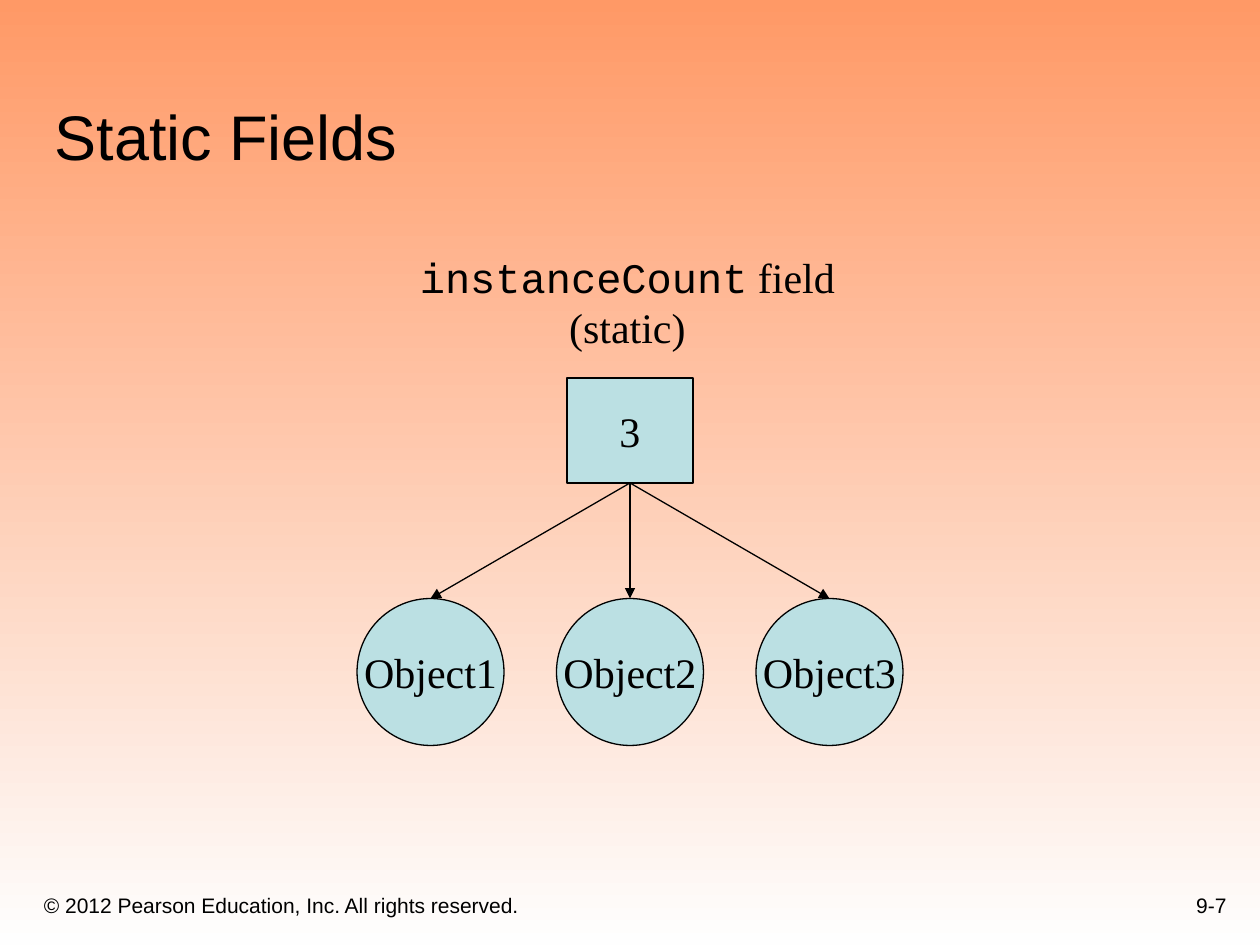
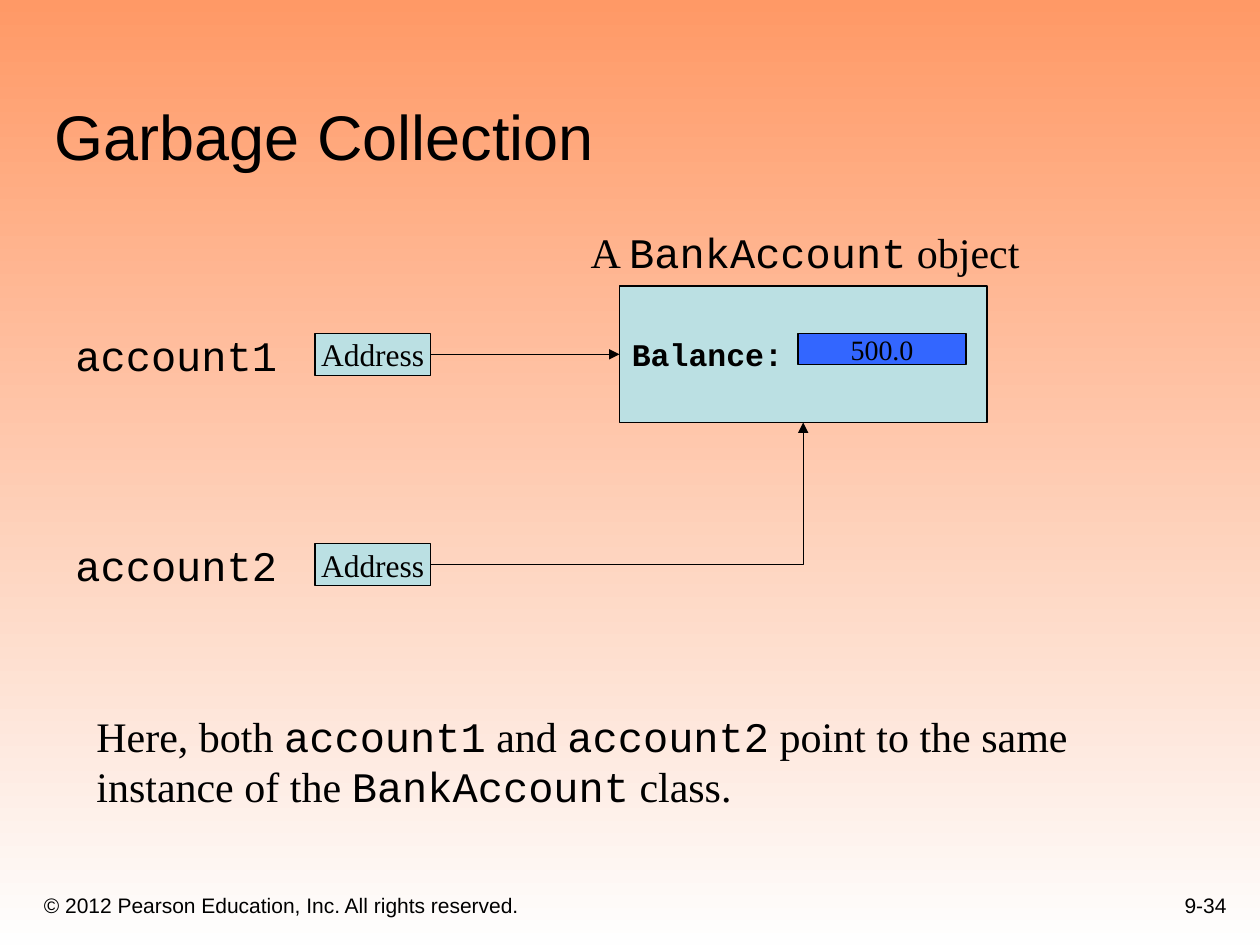
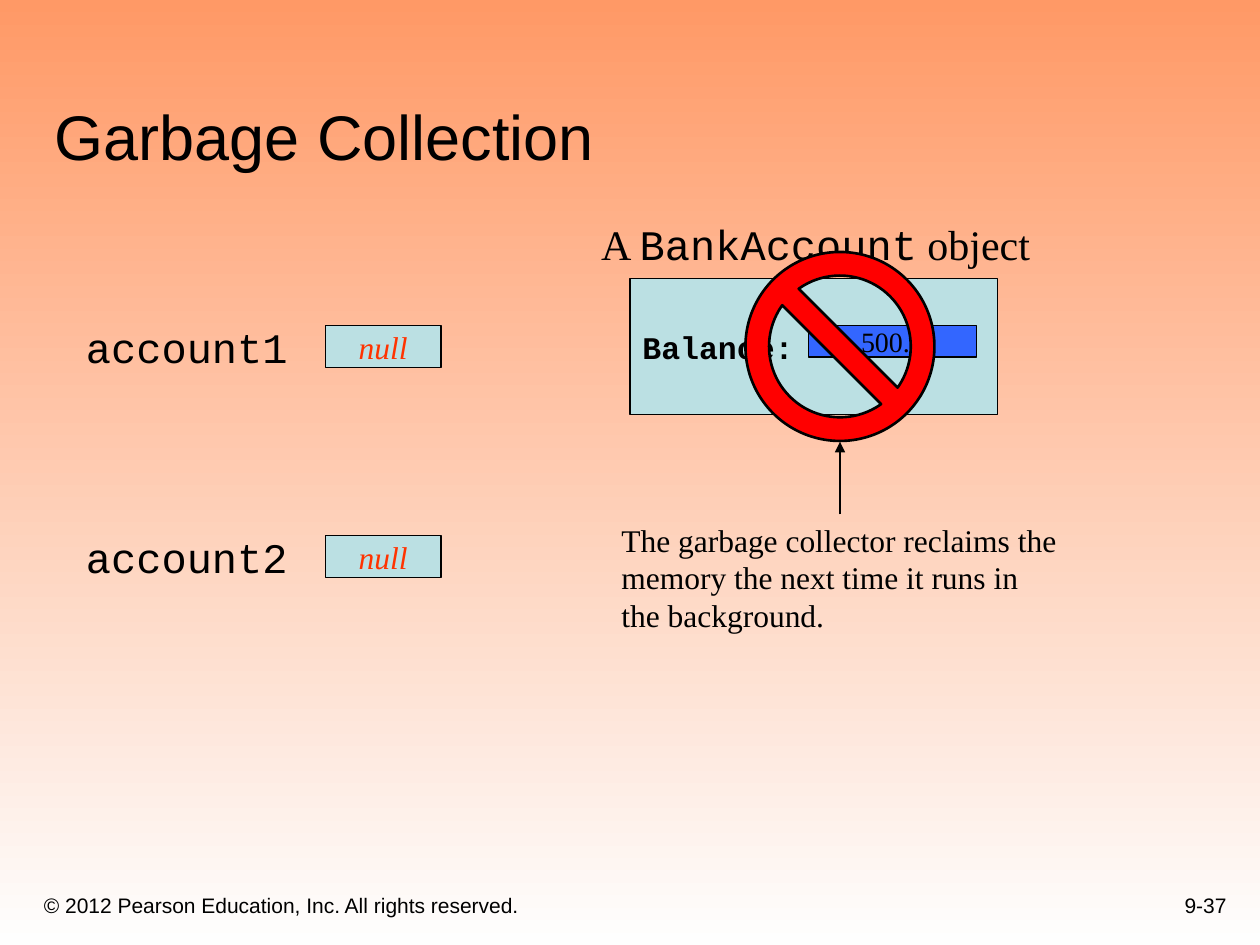
import pptx
import pptx.dml.color
import pptx.enum.shapes
import pptx.enum.text
import pptx.oxml.ns
import pptx.util
from lxml import etree

Pt = pptx.util.Pt
Align = pptx.enum.text.PP_ALIGN
Anchor = pptx.enum.text.MSO_ANCHOR
Preset = pptx.enum.shapes.MSO_SHAPE
Connector = pptx.enum.shapes.MSO_CONNECTOR
qn = pptx.oxml.ns.qn

SANS, SERIF, MONO = "Arial", "Times New Roman", "Courier New"
BLACK, PALE, BLUE, RED, NULL_RED = "000000", "BBE0E3", "3366FF", "FF0000", "FF3300"
GRADIENT = ("FF9966", "FEFEFE")
COPYRIGHT = "© 2012 Pearson Education, Inc. All rights reserved."
TOP, LEFT, BOTTOM, RIGHT = range(4)
ROW_GAP = 120


def color(value):
    return pptx.dml.color.RGBColor.from_string(value)


def write_text(frame, paragraphs, size, align=Align.LEFT, anchor=Anchor.TOP,
               wrap=True, ink=BLACK, bold=False, italic=False):
    frame.word_wrap = wrap
    frame.auto_size = pptx.enum.text.MSO_AUTO_SIZE.NONE
    frame.vertical_anchor = anchor
    for index, runs in enumerate(paragraphs):
        paragraph = frame.add_paragraph() if index else frame.paragraphs[0]
        paragraph.alignment = align
        for text, font_name in runs:
            run = paragraph.add_run()
            run.text = text
            run.font.name = font_name
            run.font.size = Pt(size)
            run.font.bold = bold
            run.font.italic = italic
            run.font.color.rgb = color(ink)


def add_text(slide, box, paragraphs, size, **style):
    shape = slide.shapes.add_textbox(*map(Pt, box))
    write_text(shape.text_frame, paragraphs, size, **style)


def add_preset(slide, preset, box, fill, line_width=0.75):
    shape = slide.shapes.add_shape(preset, *map(Pt, box))
    shape.shadow.inherit = False
    shape.fill.solid()
    shape.fill.fore_color.rgb = color(fill)
    shape.line.color.rgb = color(BLACK)
    shape.line.width = Pt(line_width)
    return shape


def add_labelled(slide, preset, box, fill, label, size, **style):
    shape = add_preset(slide, preset, box, fill)
    write_text(shape.text_frame, [[(label, SERIF)]], size, align=Align.CENTER,
               anchor=Anchor.MIDDLE, wrap=False, **style)
    return shape


def add_arrow(slide, start=(0, 0), end=(0, 0), kind=Connector.STRAIGHT):
    connector = slide.shapes.add_connector(kind, *map(Pt, start + end))
    connector.line.color.rgb = color(BLACK)
    connector.line.width = Pt(0.75)
    line = connector.line._get_or_add_ln()
    etree.SubElement(line, qn("a:tailEnd"), type="triangle")
    etree.SubElement(connector._element.spPr, qn("a:effectLst"))
    return connector


def link(slide, source, source_site, target, target_site, kind=Connector.STRAIGHT):
    connector = add_arrow(slide, kind=kind)
    connector.begin_connect(source, source_site)
    connector.end_connect(target, target_site)
    return connector


def paint_background(master):
    fill = master.background.fill
    fill.gradient()
    fill.gradient_angle = 270
    for stop, value in zip(fill.gradient_stops, GRADIENT):
        stop.color.rgb = color(value)


def add_slide(presentation, title_text, number):
    slide = presentation.slides.add_slide(presentation.slide_layouts[5])
    title = slide.shapes.title
    title.left, title.top, title.width, title.height = map(Pt, (24, 24, 678, 78.5))
    write_text(title.text_frame, [[(title_text, SANS)]], 36, anchor=Anchor.BOTTOM)
    add_text(slide, (18, 498, 438, 30), [[(COPYRIGHT, SANS)]], 12, anchor=Anchor.BOTTOM)
    add_text(slide, (558, 492, 150, 36), [[(number, SANS)]], 12,
             align=Align.RIGHT, anchor=Anchor.BOTTOM)
    return slide


def draw_static_field(slide, left, top, width):
    center = left + width / 2
    diameter = 84
    pitch = (width - diameter) / 2
    add_text(slide, (center - 127, top, 251, 65),
             [[("instanceCount", MONO), (" field", SERIF)], [("(static)", SERIF)]],
             24, align=Align.CENTER, wrap=False)
    field = add_labelled(slide, Preset.RECTANGLE, (center - 36, top + 76, 72, 60),
                         PALE, "3", 24)
    for index in range(3):
        circle = add_labelled(slide, Preset.OVAL,
                              (left + index * pitch, top + 202, diameter, diameter),
                              PALE, f"Object{index + 1}", 24)
        link(slide, field, BOTTOM, circle, TOP)


def draw_bank_account(slide, left, top):
    add_text(slide, (left, top, 260.5, 36),
             [[("A ", SERIF), ("BankAccount", MONO), (" object", SERIF)]], 24, wrap=False)
    account = add_preset(slide, Preset.RECTANGLE, (left + 23.5, top + 37.5, 210, 78), PALE)
    write_text(account.text_frame, [[("Balance:", MONO)]], 18,
               anchor=Anchor.MIDDLE, bold=True)
    add_labelled(slide, Preset.RECTANGLE, (left + 125.5, top + 64.5, 96, 18),
                 BLUE, "500.0", 16)
    return account


def draw_references(slide, left, top, value, **style):
    cells = []
    for index in range(2):
        row_top = top + index * ROW_GAP
        add_text(slide, (left, row_top, 132, 36), [[(f"account{index + 1}", MONO)]], 24)
        cells.append(add_labelled(slide, Preset.RECTANGLE,
                                  (left + 144, row_top + 6, 66, 24),
                                  PALE, value, 18, **style))
    return cells


def draw_collection(slide, left, top, value, **style):
    account = draw_bank_account(slide, left + 294.5, top)
    return account, draw_references(slide, left, top + 58.5, value, **style)


def draw_reclaim(slide, left, top):
    sign = add_preset(slide, Preset.NO_SYMBOL, (left + 78, top, 108, 108), RED, 1.5)
    sign.adjustments[0] = 0.125
    add_text(slide, (left, top + 150, 264, 72),
             [[("The garbage collector reclaims the memory the next time "
                "it runs in the background.", SERIF)]], 18)
    add_arrow(slide, (left + 132, top + 150), (left + 132, top + 108.5))


def build_static_fields(presentation):
    slide = add_slide(presentation, "Static Fields", "9-7")
    draw_static_field(slide, 204, 140, 312)


def build_shared_instance(presentation):
    slide = add_slide(presentation, "Garbage Collection", "9-34")
    account, (first, second) = draw_collection(slide, 36, 126, "Address")
    link(slide, first, RIGHT, account, LEFT)
    elbow = link(slide, second, RIGHT, account, BOTTOM, Connector.ELBOW)
    elbow._element.spPr.find(qn("a:prstGeom")).set("prst", "bentConnector2")
    add_text(slide, (48, 402.5, 569.5, 65),
             [[("Here, both ", SERIF), ("account1", MONO), (" and ", SERIF),
               ("account2", MONO), (" point to the same", SERIF)],
              [("instance of the ", SERIF), ("BankAccount", MONO), (" class.", SERIF)]],
             24, wrap=False)


def build_reclaimed_memory(presentation):
    slide = add_slide(presentation, "Garbage Collection", "9-37")
    draw_collection(slide, 42, 121.5, "null", ink=NULL_RED, italic=True)
    draw_reclaim(slide, 348, 144)


def main():
    presentation = pptx.Presentation()
    presentation.slide_width, presentation.slide_height = Pt(720), Pt(540)
    paint_background(presentation.slide_master)
    build_static_fields(presentation)
    build_shared_instance(presentation)
    build_reclaimed_memory(presentation)
    presentation.save("out.pptx")


if __name__ == "__main__":
    main()
